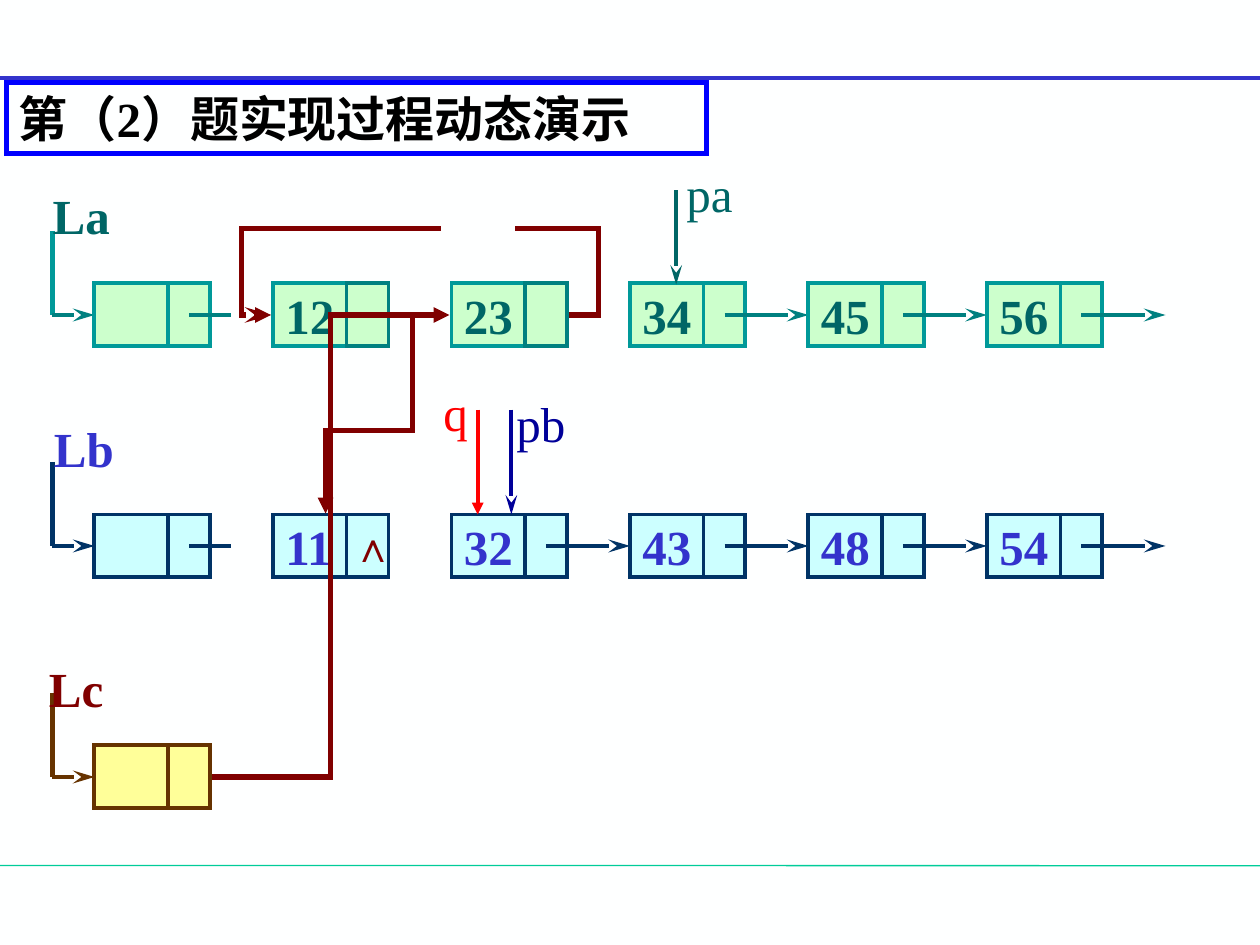
from lxml import etree
from pptx import Presentation, util as u
from pptx.dml.color import RGBColor
from pptx.enum import shapes, text
from pptx.oxml.ns import qn

LATIN, CJK = "Times New Roman", "Noto Sans CJK SC"
RED, TEAL = "800000", "008080"
PITCH, NODE_W, NODE_H, DATA_W = 17, 11, 6, 7


def grid(n):
    """Turn grid units, 120 across the slide, into a length."""
    return u.Inches(n / 12)


def rgb(value):
    """Turn a hex string into a colour."""
    return RGBColor.from_string(value)


def style_line(shape, color, width, head=None):
    """Set colour, width, sharp corners and end arrow of an outline."""
    shape.line.color.rgb = rgb(color)
    shape.line.width = u.Pt(width)
    ln = shape.line._get_or_add_ln()
    etree.SubElement(ln, qn("a:miter"), lim="800000")
    if head:
        length = "lg" if head == "stealth" else "med"
        etree.SubElement(ln, qn("a:tailEnd"), type=head, w="med", len=length)


def style_run(r, size, color, bold=True, font=LATIN):
    """Format one run, for Latin and East Asian letters alike."""
    r.font.size, r.font.bold, r.font.name = u.Pt(size), bold, font
    r.font.color.rgb = rgb(color)
    if font == CJK:
        etree.SubElement(r._r.get_or_add_rPr(), qn("a:ea"), typeface=font)


def link(s, start, end, color, width=2.5, head=None, kind=shapes.MSO_CONNECTOR.STRAIGHT):
    """Draw a connector between two grid points."""
    c = s.shapes.add_connector(kind, *map(grid, (*start, *end)))
    style_line(c, color, width, head)
    etree.SubElement(c._element.spPr, qn("a:effectLst"))


def route(s, points, color, head=None):
    """Draw an open path with square corners through grid points."""
    fb = s.shapes.build_freeform(*map(grid, points[0]))
    fb.add_line_segments([tuple(map(grid, p)) for p in points[1:]], close=False)
    sp = fb.convert_to_shape()
    sp.shadow.inherit = False
    sp.fill.background()
    style_line(sp, color, 3, head)


def box(s, x, y, w, fill, border, value=""):
    """Draw a list cell with an optional value."""
    sp = s.shapes.add_shape(shapes.MSO_SHAPE.RECTANGLE, *map(grid, (x, y, w, NODE_H)))
    sp.shadow.inherit = False
    sp.fill.solid()
    sp.fill.fore_color.rgb = rgb(fill)
    style_line(sp, border, 2.25)
    tf = sp.text_frame
    tf.word_wrap = False
    tf.vertical_anchor = text.MSO_ANCHOR.MIDDLE
    tf.text = value
    tf.paragraphs[0].alignment = text.PP_ALIGN.LEFT
    return tf.paragraphs[0].runs


def label(s, caption, x, y, color, bold, size):
    """Place a free label on the grid, as wide as its letters need."""
    width = 8.2 if len(caption) > 1 else 5.6
    tf = s.shapes.add_textbox(*map(grid, (x, y, width, 6.8))).text_frame
    tf.word_wrap = False
    tf.auto_size = text.MSO_AUTO_SIZE.SHAPE_TO_FIT_TEXT
    tf.text = caption
    tf.paragraphs[0].alignment = text.PP_ALIGN.LEFT
    style_run(tf.paragraphs[0].runs[0], size, color, bold)


def linked_list(s, y, values, fill, border, arrow, ink, cut, cut_border):
    """Draw a head pointer and its nodes; cut nodes have lost their next link."""
    mid = y + NODE_H / 2
    link(s, (5, y - 5), (5, mid), border)
    link(s, (5, mid), (9, mid), arrow, head="stealth")
    for i, value in enumerate(["", *values]):
        x = 9 + PITCH * i
        for r in box(s, x, y, NODE_W, fill, border, value):
            style_run(r, 28, ink)
        if i in cut:
            box(s, x + DATA_W, y, NODE_W - DATA_W, fill, cut_border)
            continue
        link(s, (x + DATA_W, y), (x + DATA_W, y + NODE_H), border, 2.25)
        if values:
            length, head = (8, "stealth") if i else (4, None)
            link(s, (x + 9, mid), (x + 9 + length, mid), arrow, head=head)


def title(s):
    """Set the framed title in two fonts."""
    sp = s.shapes.title
    sp.left, sp.top, sp.width, sp.height = map(u.Inches, (0.05, 0.65, 5.56, 0.57))
    style_line(sp, "0000FF", 3)
    tf = sp.text_frame
    tf.auto_size = text.MSO_AUTO_SIZE.NONE
    tf.vertical_anchor = text.MSO_ANCHOR.MIDDLE
    p = tf.paragraphs[0]
    p.alignment = text.PP_ALIGN.LEFT
    for part, font in (("第", CJK), ("（2）", LATIN), ("题实现过程动态演示", CJK)):
        r = p.add_run()
        r.text = part
        style_run(r, 28, "000000", font=font)


def main():
    """Build the slide on merging two linked lists."""
    prs = Presentation()
    prs.slide_width, prs.slide_height = u.Inches(10), u.Inches(7.5)
    s = prs.slides.add_slide(prs.slide_layouts[5])
    s.background.fill.solid()
    s.background.fill.fore_color.rgb = rgb("FEFFFF")
    link(s, (0, 82.43), (120, 82.45), "00CC99", 0.75)
    link(s, (0, 7.44), (120, 7.44), "3333CC", 2.25)
    title(s)

    linked_list(s, 27, ["12", "23", "34", "45", "56"], "CCFFCC", "009999", TEAL,
                "006666", (1, 2), TEAL)
    linked_list(s, 49, ["11", "32", "43", "48", "54"], "CCFFFF", "003366", "003366",
                "3333CC", (1,), "003366")
    linked_list(s, 71, [], "FFFF99", "663300", "663300", RED, (), "663300")

    for caption, x, y, color, bold, size in (
        ("La", 3.84, 17.04, "006666", True, 28),
        ("Lb", 3.96, 39.24, "3333CC", True, 28),
        ("Lc", 3.48, 62.16, RED, True, 28),
        ("pa", 64.2, 15, "006666", False, 28),
        ("pb", 48, 36.84, "000099", False, 28),
        ("q", 41.04, 35.88, "FF0000", False, 28),
        ("∧", 32.4, 48.96, RED, True, 24),
    ):
        label(s, caption, x, y, color, bold, size)
    for x, top, bottom, color, head in (
        (64.4, 18.1, 27.1, "006666", "stealth"),
        (48.7, 39, 49, "000099", "stealth"),
        (45.5, 39, 49, "FF0000", "triangle"),
    ):
        link(s, (x, top), (x, bottom), color, 2.25, head)

    route(s, [(36.7, 30), (39.3, 30), (39.3, 41), (31, 41), (31, 48.9)], RED, "triangle")
    route(s, [(54.2, 30), (57, 30), (57, 21.8), (49, 21.8)], RED)
    route(s, [(42, 21.8), (23, 21.8), (23, 30), (25.8, 30)], RED, "stealth")
    link(s, (24.2, 30), (25.8, 30), RED, 3, "triangle")
    link(s, (20.2, 74), (42.8, 30), RED, 3, "triangle", shapes.MSO_CONNECTOR.ELBOW)
    prs.save("out.pptx")


if __name__ == "__main__":
    main()
